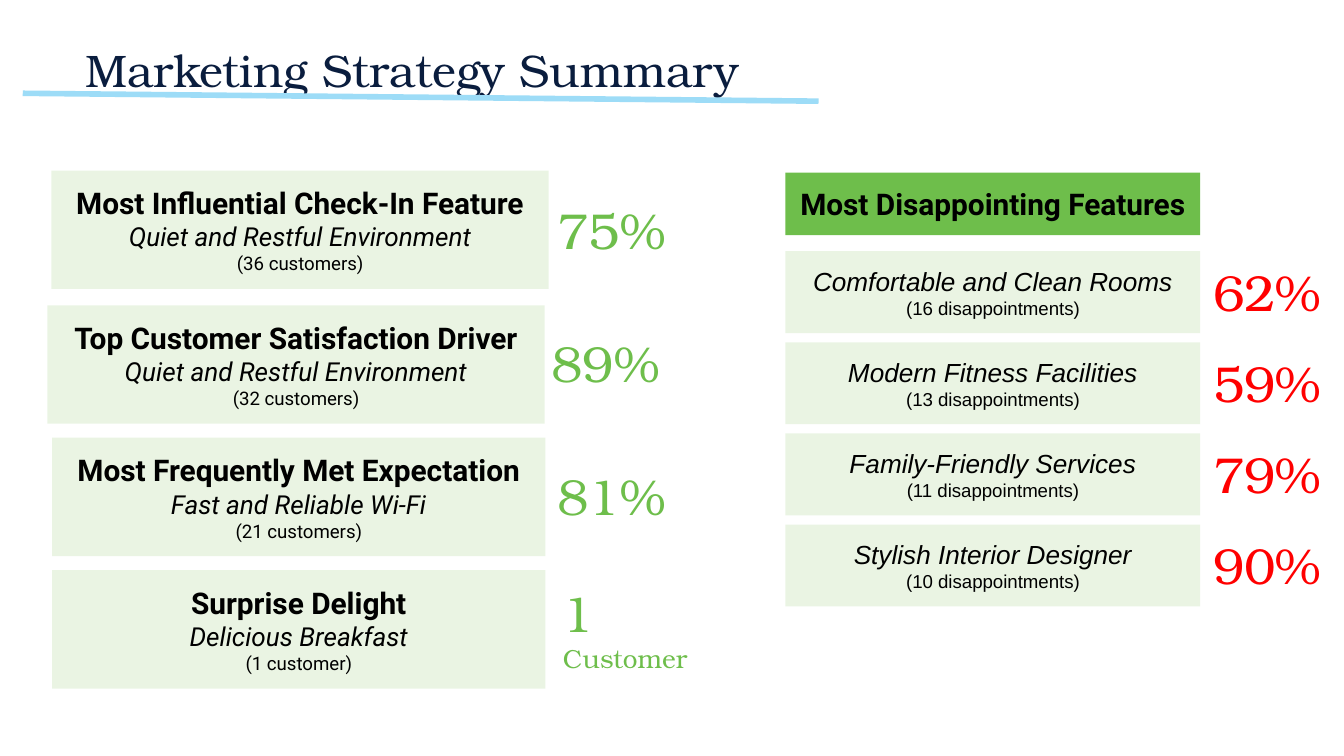
from dataclasses import dataclass
from typing import NamedTuple

import lxml.etree
import pptx
import pptx.dml.color
import pptx.enum.shapes
import pptx.enum.text
import pptx.oxml.ns
import pptx.util

Pt = pptx.util.Pt
MIDDLE = pptx.enum.text.MSO_ANCHOR.MIDDLE
TOP = pptx.enum.text.MSO_ANCHOR.TOP
CENTER = pptx.enum.text.PP_ALIGN.CENTER
LEFT = pptx.enum.text.PP_ALIGN.LEFT


@dataclass(frozen=True)
class Theme:
    navy: str = "0A1D3E"
    sky: str = "9DDCF7"
    green: str = "6EBE4B"
    pale: str = "A2D180"
    red: str = "FF0000"
    black: str = "000000"
    white: str = "FFFFFF"
    serif: str = "TeX Gyre Bonum"
    sans: str = "Roboto"
    plain: str = "Arial"
    title: float = 24.4
    figure: float = 27
    heading: float = 16
    text: float = 14
    note: float = 10
    pale_opacity: int = 22


THEME = Theme()


class Box(NamedTuple):
    left: float
    top: float
    width: float
    height: float


class Highlight(NamedTuple):
    box: Box
    heading: str
    answer: str
    count: str
    figure: str
    figure_box: Box
    unit: str = ""


class Disappointment(NamedTuple):
    feature: str
    count: str
    rate: str


CARD_H = 63.4
FIGURE_H = 47.5
HIGHLIGHTS = [
    Highlight(Box(27.6, 91.4, 266.4, CARD_H), "Most Influential Check-In Feature",
              "Quiet and Restful Environment", "(36 customers)",
              "75%", Box(291.6, 99.4, 73.4, FIGURE_H)),
    Highlight(Box(25.4, 163.6, 266.4, CARD_H), "Top Customer Satisfaction Driver",
              "Quiet and Restful Environment", "(32 customers)",
              "89%", Box(288.4, 170.6, 79.9, FIGURE_H)),
    Highlight(Box(28, 234.5, 264.2, CARD_H), "Most Frequently Met Expectation",
              "Fast and Reliable Wi-Fi", "(21 customers)",
              "81%", Box(291.6, 241.9, 73.4, FIGURE_H)),
    Highlight(Box(28, 305.5, 264.2, CARD_H), "Surprise Delight",
              "Delicious Breakfast", "(1 customer)",
              "1", Box(294.5, 304.6, 92.2, 64), "Customer"),
]

DISAPPOINTMENTS = [
    Disappointment("Comfortable and Clean Rooms", "(16 disappointments)", "62%"),
    Disappointment("Modern Fitness Facilities", "(13 disappointments)", "59%"),
    Disappointment("Family-Friendly Services", "(11 disappointments)", "79%"),
    Disappointment("Stylish Interior Designer", "(10 disappointments)", "90%"),
]
HEADER = Box(420.8, 92.5, 222.2, 33.5)
FIRST_ROW = Box(420.8, 134.6, 222.2, 43.9)
ROW_STEP = 48.8


def rgb(color: str) -> pptx.dml.color.RGBColor:
    return pptx.dml.color.RGBColor.from_string(color)


def lengths(box: Box) -> list:
    return [Pt(v) for v in box]


def add_text(tf, text: str, *, size: float, font: str, color: str, bold: bool = False,
             italic: bool = False, align=LEFT) -> None:
    """Fill the first empty paragraph, or append a new one."""
    p = tf.paragraphs[-1] if not tf.text else tf.add_paragraph()
    p.alignment = align
    r = p.add_run()
    r.text = text
    r.font.size = Pt(size)
    r.font.name = font
    r.font.bold = bold
    r.font.italic = italic
    r.font.color.rgb = rgb(color)


def set_frame(tf, anchor) -> None:
    tf.word_wrap = True
    tf.vertical_anchor = anchor
    tf.margin_left = tf.margin_right = tf.margin_top = tf.margin_bottom = Pt(7.2)


def add_panel(s, box: Box, fill: str, opacity: int = 100):
    """Draw a flat rectangle and return its text frame."""
    sp = s.shapes.add_shape(pptx.enum.shapes.MSO_SHAPE.RECTANGLE, *lengths(box))
    sp.shadow.inherit = False
    sp.fill.solid()
    sp.fill.fore_color.rgb = rgb(fill)
    sp.line.fill.background()
    if opacity < 100:
        clr = sp.fill._xPr.find(".//" + pptx.oxml.ns.qn("a:srgbClr"))
        alpha = lxml.etree.SubElement(clr, pptx.oxml.ns.qn("a:alpha"))
        alpha.set("val", str(opacity * 1000))
    set_frame(sp.text_frame, MIDDLE)
    return sp.text_frame


def add_figure(s, box: Box, figure: str, color: str, unit: str = "") -> None:
    tf = s.shapes.add_textbox(*lengths(box)).text_frame
    set_frame(tf, TOP)
    add_text(tf, figure, size=THEME.figure, font=THEME.serif, color=color)
    if unit:
        add_text(tf, unit, size=THEME.text, font=THEME.serif, color=color)


def add_answer(tf, answer: str, count: str, font: str) -> None:
    add_text(tf, answer, size=THEME.text, font=font, color=THEME.black,
             italic=True, align=CENTER)
    add_text(tf, count, size=THEME.note, font=font, color=THEME.black, align=CENTER)


def add_heading(tf, text: str) -> None:
    add_text(tf, text, size=THEME.heading, font=THEME.sans, color=THEME.black,
             bold=True, align=CENTER)


def add_highlight(s, item: Highlight) -> None:
    tf = add_panel(s, item.box, THEME.pale, THEME.pale_opacity)
    add_heading(tf, item.heading)
    add_answer(tf, item.answer, item.count, THEME.sans)
    add_figure(s, item.figure_box, item.figure, THEME.green, item.unit)


def add_disappointment(s, item: Disappointment, row: int) -> None:
    box = FIRST_ROW._replace(top=FIRST_ROW.top + row * ROW_STEP)
    tf = add_panel(s, box, THEME.pale, THEME.pale_opacity)
    add_answer(tf, item.feature, item.count, THEME.plain)
    rate_box = Box(box.left + box.width, box.top - 1.8, 79.9, FIGURE_H)
    add_figure(s, rate_box, item.rate, THEME.red)


def add_title(s, text: str) -> None:
    sp = s.shapes.title
    sp.left, sp.top, sp.width, sp.height = lengths(Box(0, 12.2, 442, 49.7))
    set_frame(sp.text_frame, MIDDLE)
    add_text(sp.text_frame, text, size=THEME.title, font=THEME.serif,
             color=THEME.navy, align=CENTER)
    # Slightly slanted underline
    line = s.shapes.add_connector(pptx.enum.shapes.MSO_CONNECTOR.STRAIGHT,
                                  Pt(12.2), Pt(50), Pt(438.5), Pt(54.2))
    line.line.color.rgb = rgb(THEME.sky)
    line.line.width = Pt(3)
    lxml.etree.SubElement(line._element.spPr, pptx.oxml.ns.qn("a:effectLst"))


def main() -> None:
    prs = pptx.Presentation()
    prs.slide_width, prs.slide_height = Pt(720), Pt(405)
    s = prs.slides.add_slide(prs.slide_layouts[5])

    add_title(s, "Marketing Strategy Summary")

    # Left column: highlights
    for item in HIGHLIGHTS:
        add_highlight(s, item)

    # Right column: header and disappointments
    add_heading(add_panel(s, HEADER, THEME.green), "Most Disappointing Features")
    for row, item in enumerate(DISAPPOINTMENTS):
        add_disappointment(s, item, row)

    prs.save("out.pptx")


if __name__ == "__main__":
    main()
